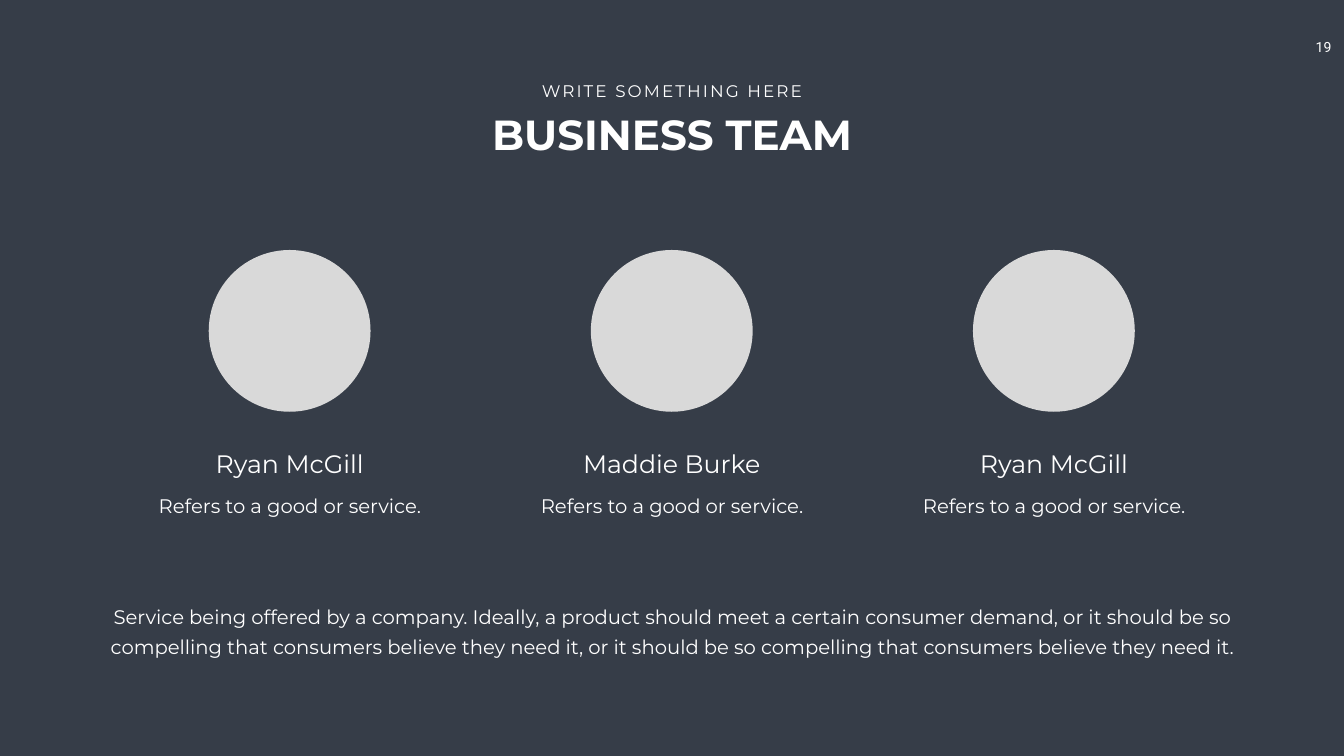
from pptx import Presentation
from pptx import util as u
from pptx.dml.color import RGBColor
from pptx.enum import shapes, text

PX = u.Inches(1) // 100
BACKGROUND = RGBColor(0x36, 0x3D, 0x48)
WHITE = RGBColor(0xFF, 0xFF, 0xFF)
PORTRAIT_GREY = RGBColor(0xD9, 0xD9, 0xD9)
NARROW, MEDIUM, WIDE = (10, 5), (20, 10), (24, 12)
COLUMN_STEP = 758
MEMBERS = ["Ryan McGill", "Maddie Burke", "Ryan McGill"]
CAPTION = "Refers to a good or service."
SUMMARY = (
    "Service being offered by a company. Ideally, a product should meet a certain "
    "consumer demand, or it should be so compelling that consumers believe they need it, "
    "or it should be so compelling that consumers believe they need it."
)


def scaled(*lengths):
    """Turn px lengths into EMU."""
    return [u.Emu(length * PX) for length in lengths]


def add_text(parent, words, frame, size, font="Montserrat", bold=False, wrap=True, insets=NARROW):
    """Add a centred white line of text and return its paragraph."""
    box = parent.shapes.add_textbox(*scaled(*frame)).text_frame
    box.word_wrap = wrap
    box.auto_size = text.MSO_AUTO_SIZE.SHAPE_TO_FIT_TEXT
    box.margin_left, box.margin_top = box.margin_right, box.margin_bottom = scaled(*insets)
    para = box.paragraphs[0]
    para.text = words
    para.alignment = text.PP_ALIGN.CENTER
    para.font.name = font
    para.font.size = u.Pt(size)
    para.font.bold = bold
    para.font.color.rgb = WHITE
    return para


def add_body(parent, words, frame):
    """Add body text with fixed line spacing."""
    para = add_text(parent, words, frame, 28, insets=WIDE)
    para.line_spacing = u.Pt(43)


def add_heading(page):
    """Add the grouped title and its spaced-out overline."""
    group = page.shapes.add_group_shape()
    add_text(group, "BUSINESS TEAM", (834, 210, 998, 111), 60, bold=True)
    overline = add_text(group, "WRITE SOMETHING HERE", (1060, 155, 546, 50), 24, wrap=False)
    overline.runs[0]._r.get_or_add_rPr().set("spc", "300")


def add_portrait(page, left):
    """Add a plain round portrait."""
    circle = page.shapes.add_shape(shapes.MSO_SHAPE.OVAL, *scaled(left, 496, 321, 321))
    circle.shadow.inherit = False
    circle.fill.solid()
    circle.fill.fore_color.rgb = PORTRAIT_GREY
    circle.line.fill.background()


def add_member(page, name, offset):
    """Add one team member: portrait, name and caption."""
    add_portrait(page, 414 + offset)
    group = page.shapes.add_group_shape()
    add_body(group, CAPTION, (268 + offset, 955, 614, 79))
    add_text(group, name, (291 + offset, 884, 567, 71), 36)


def main():
    """Build the team slide."""
    deck = Presentation()
    deck.slide_width, deck.slide_height = scaled(2666, 1500)
    page = deck.slides.add_slide(deck.slide_layouts[6])
    page.background.fill.solid()
    page.background.fill.fore_color.rgb = BACKGROUND
    add_text(page, "19", (2580, 67, 91, 54), 20, font="Roboto", wrap=False, insets=MEDIUM)
    add_heading(page)
    for column, name in enumerate(MEMBERS):
        add_member(page, name, column * COLUMN_STEP)
    add_body(page, SUMMARY, (177, 1175, 2313, 139))
    deck.save("out.pptx")


if __name__ == "__main__":
    main()
